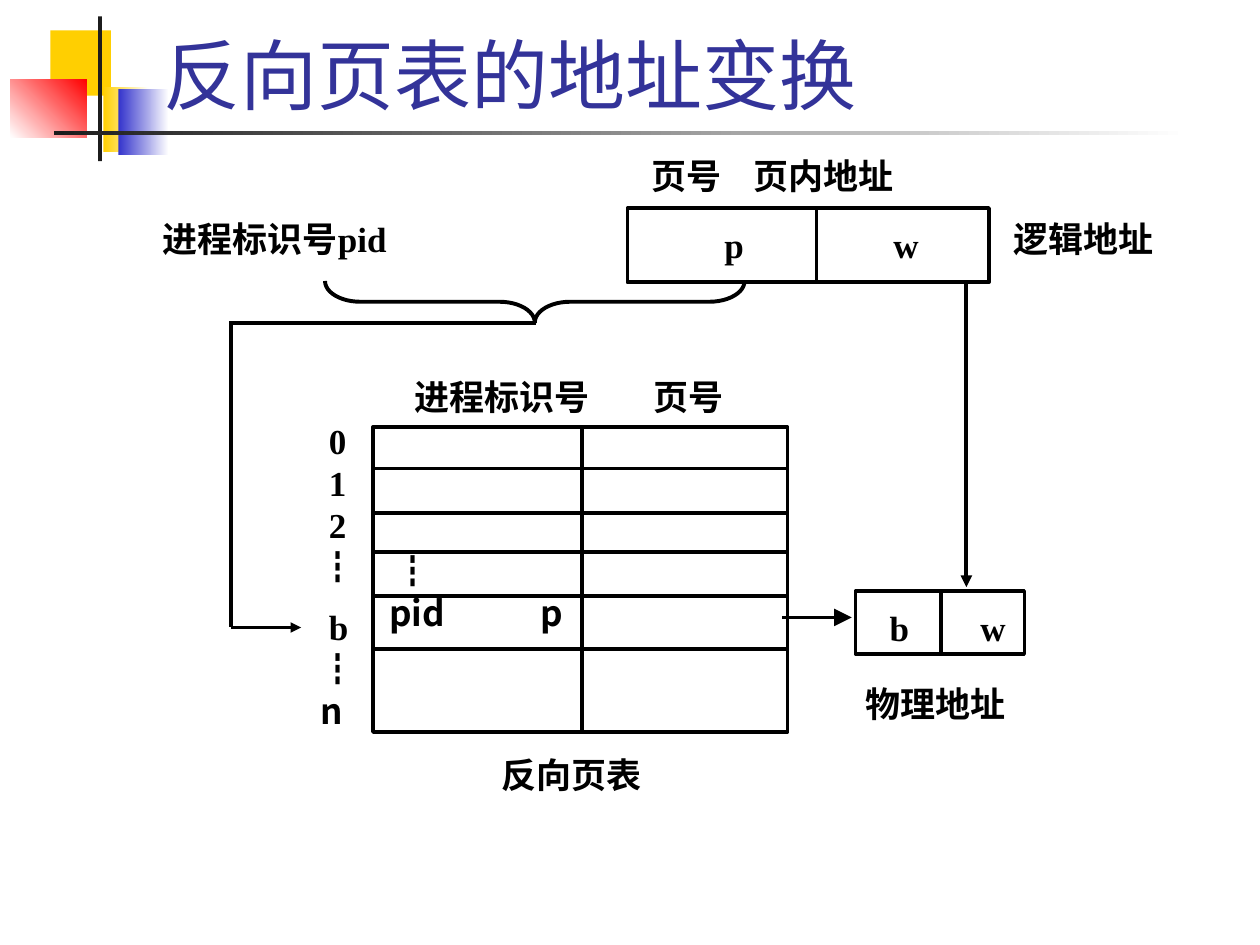
from lxml import etree
from pptx import Presentation
from pptx.dml.color import RGBColor
from pptx.enum.shapes import MSO_CONNECTOR, MSO_SHAPE
from pptx.enum.text import MSO_ANCHOR, MSO_AUTO_SIZE, PP_ALIGN
from pptx.oxml.ns import qn
from pptx.util import Inches, Pt

RECT, BRACE = MSO_SHAPE.RECTANGLE, MSO_SHAPE.LEFT_BRACE
STRAIGHT = MSO_CONNECTOR.STRAIGHT
TOP, BOTTOM = MSO_ANCHOR.TOP, MSO_ANCHOR.BOTTOM
LEFT, JUSTIFY = PP_ALIGN.LEFT, PP_ALIGN.JUSTIFY
NO_FIT = MSO_AUTO_SIZE.NONE

SERIF, SANS = "Times New Roman", "Noto Sans CJK SC"
BLACK, WHITE = "000000", "FFFFFF"
TITLE = "反向页表的地址变换"

ORNAMENTS = [
    ((0.4, 0.24, 0.48, 0.52), ["FFCF01"], 0),
    ((0.82, 0.69, 0.36, 0.52), ["FFCF01", WHITE], 0),
    ((0.94, 0.71, 0.4, 0.52), ["3333CC", WHITE], 0),
    ((0.08, 0.63, 0.61, 0.46), [WHITE, "FF0000"], 45),
    ((0.78, 0.13, 0.03, 1.15), ["1C1C1C"], 0),
    ((0.43, 1.04, 9, 0.03), ["1C1C1C", WHITE], 0),
]
LABELS = [
    ("逻辑地址", (8.04, 1.73, 1.21, 0.36), SERIF, []),
    ("进程标识号\t页号", (3.29, 2.98, 2.67, 0.4), SERIF, [1.9]),
    ("反向页表", (3.98, 5.98, 1.31, 0.33), SERIF, []),
    ("物理地址", (6.87, 5.42, 1.22, 0.39), SERIF, []),
    ("\t页号\t页内地址", (5.1, 1.23, 2.44, 0.42), SANS, [0.07, 0.88]),
    ("进程标识号pid", (1.29, 1.73, 1.88, 0.36), SERIF, []),
]
ADDRESSES = [
    ("\tp\tw", (4.98, 1.65, 2.87, 0.59), [0.77, 2.11], 6.48),
    ("\tb\tw", (6.79, 4.69, 1.34, 0.5), [0.27, 0.99], 7.47),
]
TABLE = (2.96, 3.39, 3.29, 2.42)
ROW_LINES = [3.72, 4.07, 4.38, 4.73, 5.15]
COLUMN_LINE = 4.62
ENTRIES = [("\t┇", [0.18], False), ("\tpid\tp", [0.13, 1.33], True)]
INDEX_BOX = (2.54, 3.33, 0.25, 2.55)
INDEX_INDENT, INDEX_PITCH, INDEX_GAP = 0.07, 24, 10
INDEXES = [("0", SERIF), ("1", SERIF), ("2", SERIF), ("┇", SANS),
           ("b", SERIF), ("┇", SANS), ("n", SANS)]
BRACE_BOX = (4.08, 0.73, 0.33, 3.33)
PATHS = [
    ((6.21, 4.9), (6.76, 4.9), 2, "lg"),
    ((7.67, 2.23), (7.67, 4.66), 2.25, "med"),
    ((4.25, 2.56), (1.83, 2.56), 2.25, None),
    ((1.83, 2.55), (1.83, 4.98), 2.25, None),
    ((1.83, 4.98), (2.39, 4.98), 2, "med"),
]


def color(value):
    return RGBColor.from_string(value)


def inches(values):
    return [Inches(v) for v in values]


def shape(s, box, fills=(), angle=0, line=0, kind=RECT):
    sp = s.shapes.add_shape(kind, *inches(box))
    sp.shadow.inherit = False
    if len(fills) > 1:
        sp.fill.gradient()
        sp.fill.gradient_angle = angle
        for stop, value in zip(sp.fill.gradient_stops, fills):
            stop.color.rgb = color(value)
    elif fills:
        sp.fill.solid()
        sp.fill.fore_color.rgb = color(fills[0])
    else:
        sp.fill.background()
    if line:
        sp.line.color.rgb = color(BLACK)
        sp.line.width = Pt(line)
    else:
        sp.line.fill.background()
    return sp


def line(s, start, end, width=2, head=None):
    c = s.shapes.add_connector(STRAIGHT, *inches(start + end))
    c.line.color.rgb = color(BLACK)
    c.line.width = Pt(width)
    if head:
        etree.SubElement(c.line._get_or_add_ln(), qn("a:tailEnd"),
                         type="triangle", w=head, len=head)
    etree.SubElement(c._element.spPr, qn("a:effectLst"))


def frame(sp, left=0, top=0):
    tf = sp.text_frame
    tf.word_wrap = True
    tf.auto_size = NO_FIT
    tf.vertical_anchor = TOP
    tf.margin_left, tf.margin_top = Inches(left), Inches(top)
    tf.margin_right = tf.margin_bottom = 0
    return tf


def write(p, text, font=SERIF, tabs=(), bold=True, size=20, fill=BLACK, align=JUSTIFY):
    if tabs:
        stops = etree.SubElement(p._p.get_or_add_pPr(), qn("a:tabLst"))
        for pos in tabs:
            etree.SubElement(stops, qn("a:tab"), pos=str(Inches(pos)), algn="l")
    p.alignment = align
    r = p.add_run()
    r.text = text
    r.font.size = Pt(size)
    r.font.bold = bold
    r.font.color.rgb = color(fill)
    r.font.name = font
    etree.SubElement(r.font._element, qn("a:ea"), typeface=SANS)


def add_title(s):
    sp = s.shapes.title
    sp.left, sp.top, sp.width, sp.height = inches((1.2, 0.17, 8.52, 0.83))
    tf = sp.text_frame
    tf.auto_size = NO_FIT
    tf.vertical_anchor = BOTTOM
    write(tf.paragraphs[0], TITLE, "Karla", bold=False, size=44, fill="333399", align=LEFT)
    s.shapes._spTree.append(sp._element)


def add_page_table(s):
    x, y, w, h = TABLE
    tf = frame(shape(s, TABLE, [WHITE], line=2), top=0.97)
    for i, (text, tabs, bold) in enumerate(ENTRIES):
        p = tf.add_paragraph() if i else tf.paragraphs[0]
        write(p, text, SANS, tabs, bold, align=LEFT)
    for row in ROW_LINES:
        line(s, (x, row), (x + w, row))
    line(s, (COLUMN_LINE, y), (COLUMN_LINE, y + h), 2.25)


def add_indexes(s):
    tf = frame(s.shapes.add_textbox(*inches(INDEX_BOX)))
    for i, (text, font) in enumerate(INDEXES):
        p = tf.add_paragraph() if i else tf.paragraphs[0]
        write(p, text, font)
        p.line_spacing = Pt(INDEX_PITCH)
        if font == SERIF:
            p._p.get_or_add_pPr().set("marL", str(Inches(INDEX_INDENT)))
        if text == "b":
            p.space_before = Pt(INDEX_GAP)


def main():
    prs = Presentation()
    prs.slide_width, prs.slide_height = Inches(10), Inches(7.5)
    s = prs.slides.add_slide(prs.slide_layouts[5])
    for box, fills, angle in ORNAMENTS:
        shape(s, box, fills, angle)
    add_title(s)
    for text, box, font, tabs in LABELS:
        tf = frame(s.shapes.add_textbox(*inches(box)))
        write(tf.paragraphs[0], text, font, tabs)
    for text, box, tabs, divider in ADDRESSES:
        tf = frame(shape(s, box, [WHITE], line=2), top=0.12)
        write(tf.paragraphs[0], text, tabs=tabs)
        line(s, (divider, box[1]), (divider, box[1] + box[3]))
    add_page_table(s)
    add_indexes(s)
    brace = shape(s, BRACE_BOX, line=2.25, kind=BRACE)
    brace.adjustments[0] = 0.85
    brace.rotation = 270
    for start, end, width, head in PATHS:
        line(s, start, end, width, head)
    prs.save("out.pptx")


if __name__ == "__main__":
    main()
